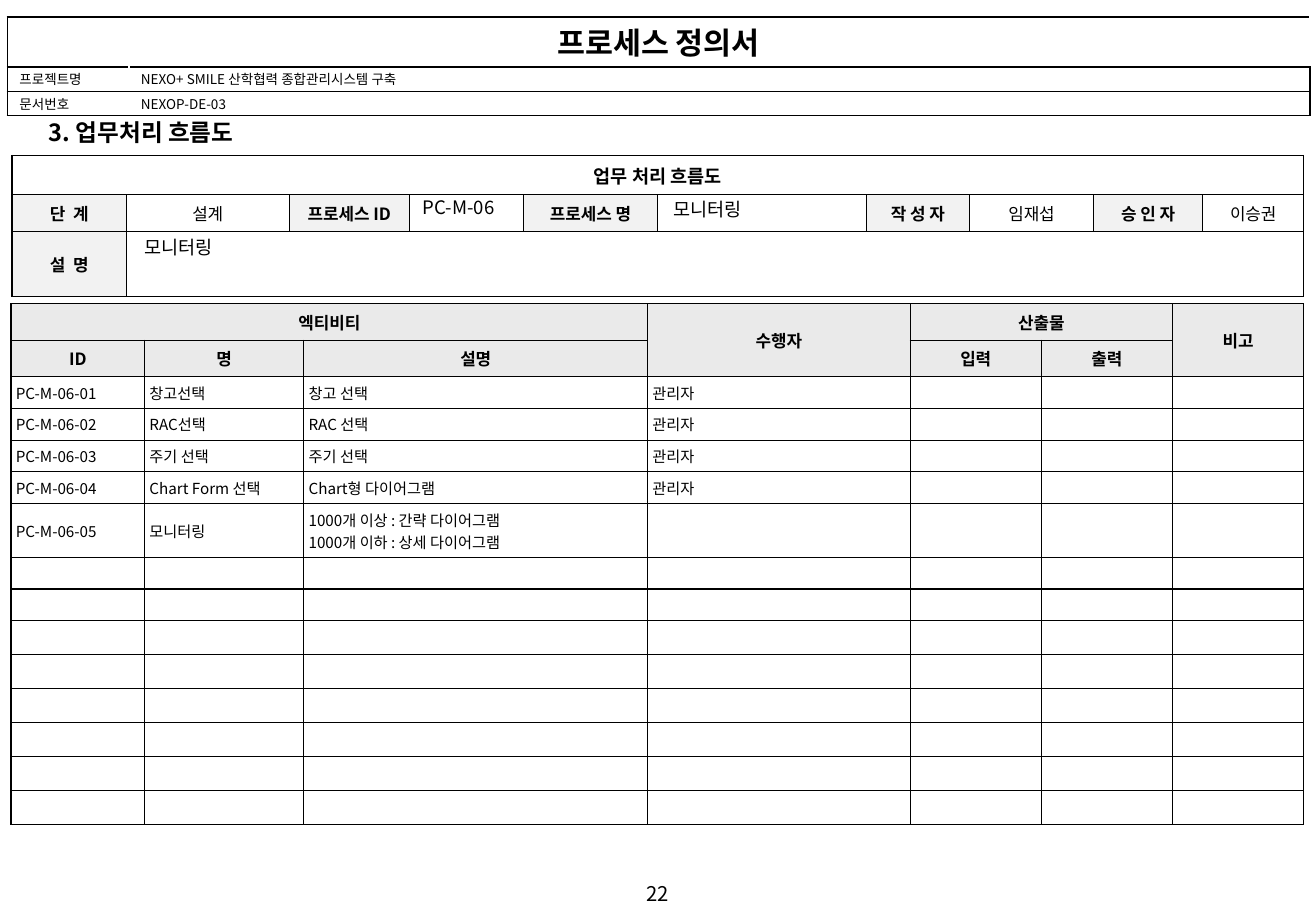
from lxml import etree
from pptx import Presentation
from pptx.dml.color import RGBColor
from pptx.enum.text import MSO_ANCHOR, PP_ALIGN
from pptx.oxml.ns import qn
from pptx.util import Inches, Pt

FONT = "Noto Sans CJK KR"
BLACK, WHITE, LABEL, HEADING = "000000", "FFFFFF", "F2F2F2", "EAEAEA"
LEFT, CENTER = PP_ALIGN.LEFT, PP_ALIGN.CENTER
TOP, MIDDLE = MSO_ANCHOR.TOP, MSO_ANCHOR.MIDDLE
THIN, THICK = (BLACK, 0.75), (BLACK, 1)


def rgb(value):
    """Turn a hex string into a colour."""
    return RGBColor.from_string(value)


def write(tf, text, size=10, bold=False, align=LEFT, color=BLACK):
    """Write one paragraph per line of text in a single format."""
    for i, line in enumerate(text.split("\n")):
        p = tf.paragraphs[0] if i == 0 else tf.add_paragraph()
        p.alignment = align
        if not line:
            etree.SubElement(p._p, qn("a:endParaRPr"), sz=str(int(size * 100)))
            continue
        r = p.add_run()
        r.text = line
        r.font.size, r.font.bold, r.font.name = Pt(size), bold, FONT
        r.font.color.rgb = rgb(color)
        etree.SubElement(r._r.get_or_add_rPr(), qn("a:ea"), typeface=FONT)


def set_borders(cell, sides):
    """Draw the left, right, top and bottom borders of a cell."""
    tc_pr = cell._tc.get_or_add_tcPr()
    for i, (tag, (color, width)) in enumerate(zip(("lnL", "lnR", "lnT", "lnB"), sides)):
        ln = etree.Element(qn(f"a:{tag}"), w=str(Pt(width)))
        fill = etree.SubElement(ln, qn("a:solidFill"))
        etree.SubElement(fill, qn("a:srgbClr"), val=color)
        tc_pr.insert(i, ln)


def fill_cell(cell, text="", fill=None, margins=(0.1, 0.05), anchor=MIDDLE, **fmt):
    """Fill a cell and write its text."""
    cell.margin_left = cell.margin_right = Inches(margins[0])
    cell.margin_top = cell.margin_bottom = Inches(margins[1])
    cell.vertical_anchor = anchor
    if fill:
        cell.fill.solid()
        cell.fill.fore_color.rgb = rgb(fill)
    else:
        cell.fill.background()
    write(cell.text_frame, text, **fmt)


def add_grid(s, box, cols, rows, merges, outer, inner, upright):
    """Add a bordered table whose outer sides are left, right, top and bottom."""
    shape = s.shapes.add_table(len(rows), len(cols), *map(Inches, box))
    table = shape.table
    table.first_row = table.horz_banding = False
    for col, width in zip(table.columns, cols):
        col.width = Inches(width)
    for row, height in zip(table.rows, rows):
        row.height = Inches(height)
    last_row, last_col = len(rows) - 1, len(cols) - 1
    for i in range(len(rows)):
        for j in range(len(cols)):
            set_borders(table.cell(i, j), (
                outer[0] if j == 0 else upright,
                outer[1] if j == last_col else upright,
                outer[2] if i == 0 else inner,
                outer[3] if i == last_row else inner))
    for (top, left), (bottom, right) in merges:
        table.cell(top, left).merge(table.cell(bottom, right))
    return table


def add_document_header(s, box):
    """Add the document title with project name and document number."""
    table = add_grid(s, box, [1, 9.72], [0.41, 0.2, 0.2], [((0, 0), (0, 1))],
                     [THICK] * 4, THICK, (WHITE, 1))
    set_borders(table.cell(0, 0), [THICK] * 4)
    layout = dict(fill=WHITE, margins=(0.1, 0.02), anchor=TOP)
    fill_cell(table.cell(0, 0), "프로세스 정의서", size=18, bold=True, align=CENTER, **layout)
    details = [("프로젝트명", "NEXO+ SMILE 산학협력 종합관리시스템 구축"),
               ("문서번호", "NEXOP-DE-03")]
    for i, pair in enumerate(details, 1):
        for j, text in enumerate(pair):
            fill_cell(table.cell(i, j), text, size=8, **layout)


def add_process_info(s, box):
    """Add the process summary table."""
    cols = [0.94, 1.34, 0.99, 0.94, 1.1, 1.72, 0.85, 1.02, 0.9, 0.83]
    table = add_grid(s, box, cols, [0.32, 0.3, 0.54],
                     [((0, 0), (0, 9)), ((2, 1), (2, 9))], [THICK] * 4, THIN, THIN)
    fill_cell(table.cell(0, 0), "업무 처리 흐름도", WHITE, size=11, bold=True, align=CENTER)
    fields = ["단  계", "설계", "프로세스 ID", "", "프로세스 명", "",
              "작 성 자", "임재섭", "승 인 자", "이승권"]
    for i, texts in ((1, fields), (2, ["설  명", ""])):
        for j, text in enumerate(texts):
            is_label = j % 2 == 0
            fill_cell(table.cell(i, j), text, LABEL if is_label else WHITE,
                      bold=is_label, align=CENTER)


def add_activities(s, box):
    """Add the activity table with its two heading rows and spare rows."""
    cols = [1.1, 1.31, 2.83, 2.16, 1.08, 1.08, 1.08]
    rows = [0.3] * 2 + [0.26] * 4 + [0.44] + [0.26] * 2 + [0.28] * 6
    merges = [((0, 0), (0, 2)), ((0, 3), (1, 3)), ((0, 4), (0, 5)), ((0, 6), (1, 6))]
    table = add_grid(s, box, cols, rows, merges, [THICK, THIN, THIN, THIN], THIN, THIN)
    headings = [{0: "엑티비티", 3: "수행자", 4: "산출물", 6: "비고"},
                {0: "ID", 1: "명", 2: "설명", 4: "입력", 5: "출력"}]
    for i, names in enumerate(headings):
        for j, text in names.items():
            fill_cell(table.cell(i, j), text, HEADING, bold=True, align=CENTER)
    activities = [
        ("PC-M-06-01", "창고선택", "창고 선택", "관리자"),
        ("PC-M-06-02", "RAC선택", "RAC 선택", "관리자"),
        ("PC-M-06-03", "주기 선택", "주기 선택", "관리자"),
        ("PC-M-06-04", "Chart Form 선택", "Chart형 다이어그램", "관리자"),
        ("PC-M-06-05", "모니터링",
         "1000개 이상 : 간략 다이어그램\n1000개 이하 : 상세 다이어그램"),
    ]
    for i in range(len(headings), len(rows)):
        k = i - len(headings)
        texts = activities[k] if k < len(activities) else ()
        for j in range(len(cols)):
            fill_cell(table.cell(i, j), texts[j] if j < len(texts) else "",
                      margins=(0.04, 0.04), size=9)


def add_title(s, box, text):
    """Place the section title in the title placeholder."""
    title = s.shapes.title
    title.left, title.top, title.width, title.height = map(Inches, box)
    tf = title.text_frame
    tf.word_wrap, tf.vertical_anchor = False, TOP
    write(tf, text, size=14, bold=True)


def add_text(s, box, text, **fmt):
    """Add a wrapping text box."""
    tf = s.shapes.add_textbox(*map(Inches, box)).text_frame
    tf.word_wrap = True
    write(tf, text, **fmt)


def main():
    """Build the process definition slide."""
    prs = Presentation()
    prs.slide_width, prs.slide_height = Inches(10.83), Inches(7.5)
    s = prs.slides.add_slide(prs.slide_layouts[5])
    add_document_header(s, (0.06, 0.14, 10.72, 0.81))
    add_process_info(s, (0.1, 1.28, 10.63, 1.16))
    add_activities(s, (0.09, 2.5, 10.64, 4.28))
    add_title(s, (0.3, 0.92, 1.96, 0.34), "3. 업무처리 흐름도")
    add_text(s, (3.38, 1.56, 0.93, 0.29), "PC-M-06", size=11)
    add_text(s, (5.44, 1.58, 1.71, 0.29), "모니터링", size=11)
    add_text(s, (1.09, 1.89, 9.53, 0.29), "모니터링", size=11)
    add_text(s, (0, 7.21, 10.83, 0.3), "22", size=12, align=CENTER)
    prs.save("out.pptx")


main()
